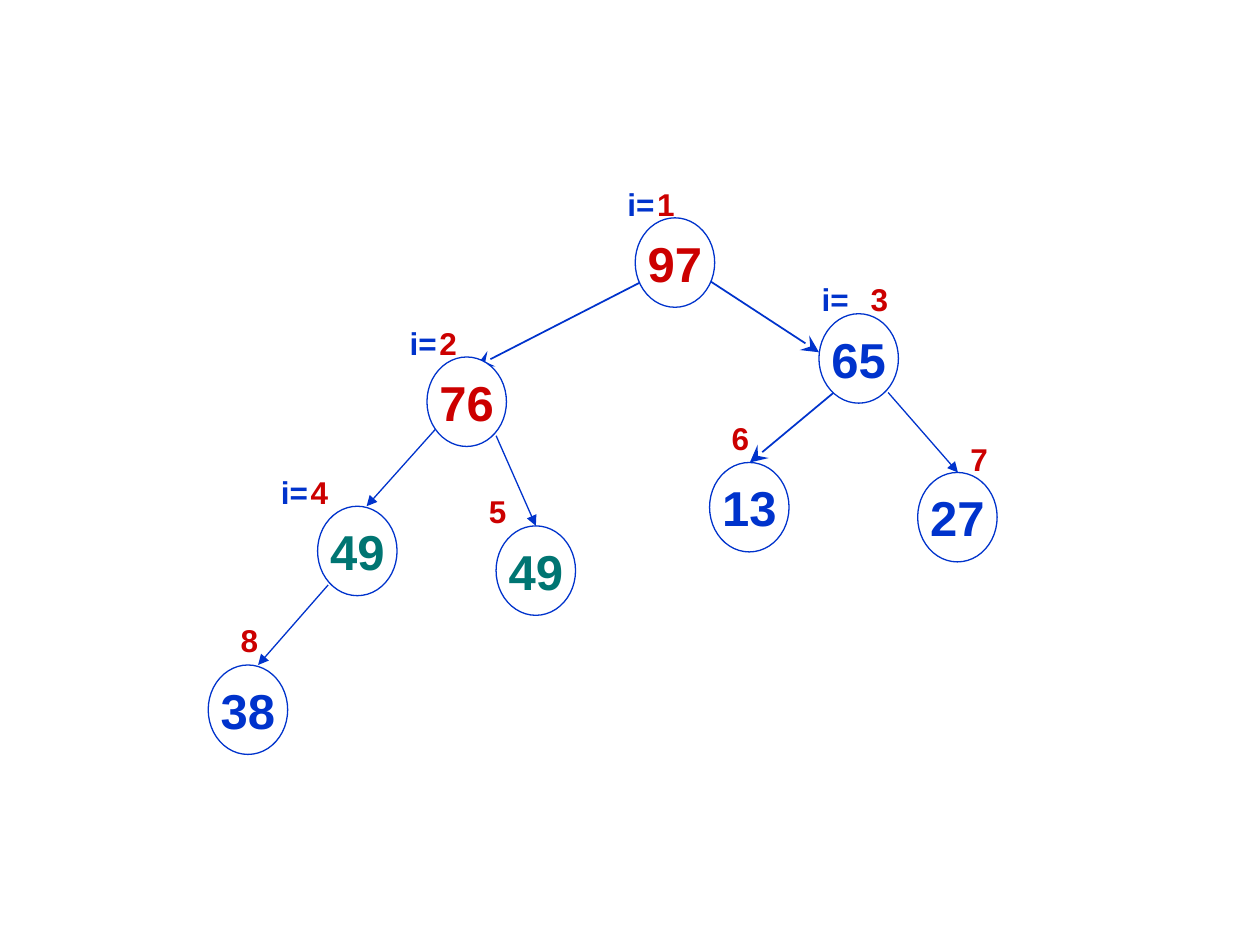
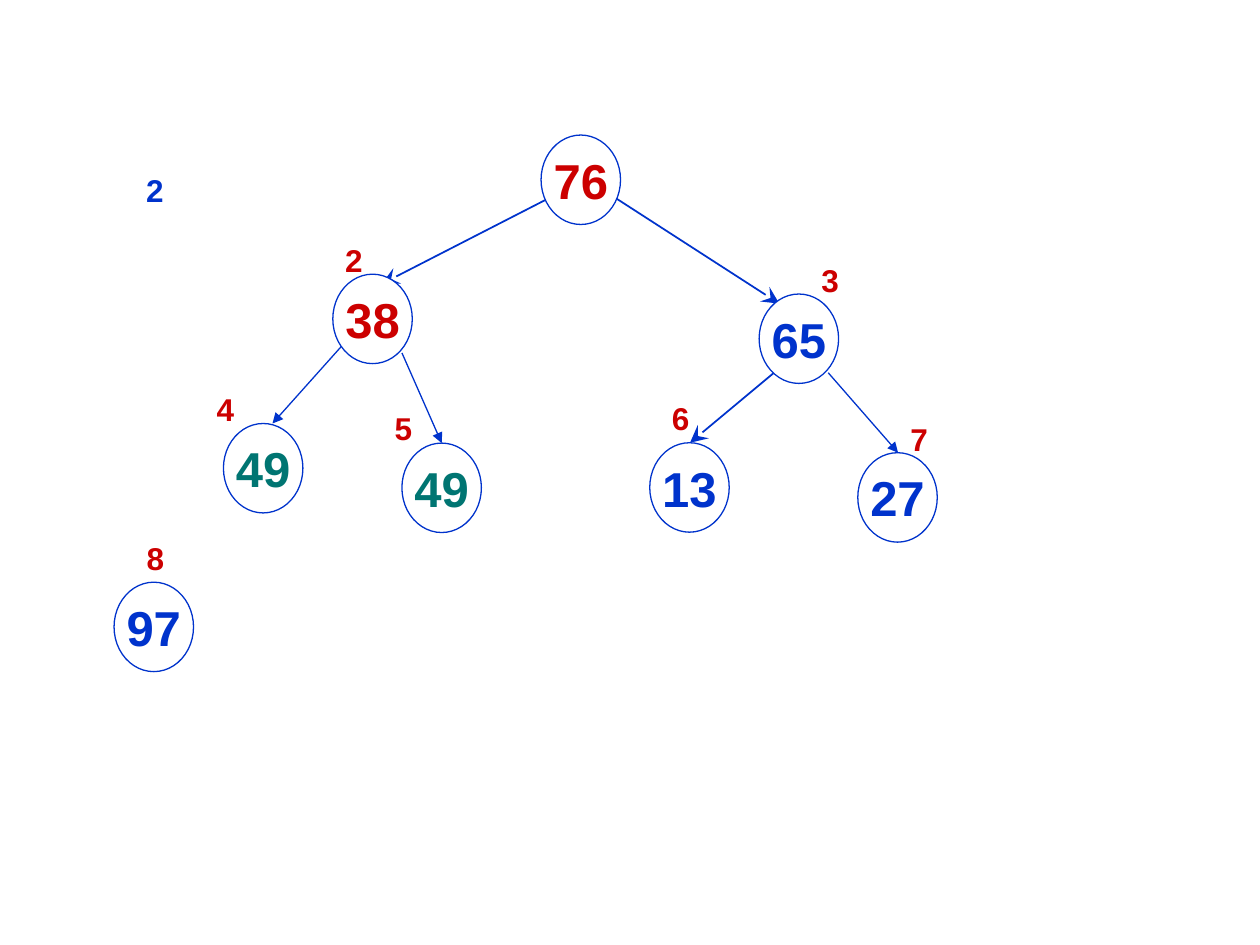
from dataclasses import dataclass, replace

from lxml import etree
from pptx import Presentation
from pptx.dml.color import RGBColor
from pptx.enum.shapes import MSO_CONNECTOR, MSO_SHAPE
from pptx.enum.text import MSO_ANCHOR, MSO_AUTO_SIZE, PP_ALIGN
from pptx.oxml.ns import qn
from pptx.slide import Slide
from pptx.text.text import TextFrame
from pptx.util import Pt

BLUE = RGBColor(0x00, 0x33, 0xCC)
RED = RGBColor(0xCC, 0x00, 0x00)
TEAL = RGBColor(0x00, 0x75, 0x72)
WHITE = RGBColor(0xFF, 0xFF, 0xFF)

FONT = "Arial"
NODE_WIDTH, NODE_HEIGHT = 45.4, 51.1
LABEL_WIDTH, LABEL_HEIGHT = 24.5, 29
PREFIX_WIDTH = 31
ARROW_SIZES = {"triangle": "med", "stealth": "lg"}

Point = tuple[float, float]


@dataclass(frozen=True)
class Node:
    """A tree node with its index label and the edge from its parent.

    Label and edge end are offsets from the node, edge start from the parent.
    """
    at: Point
    color: RGBColor
    label: Point
    parent: int = 0
    edge_start: Point = (0, 0)
    edge_end: Point = (0, 0)
    arrow: str = "triangle"
    edge_width: float = 0.75


@dataclass(frozen=True)
class Prefix:
    """An "i=" set to the left of an index label."""
    index: int
    gap: float = 17


HEAP = {
    1: Node((363, 124.5), RED, (5.5, -22.5)),
    2: Node((244, 204), RED, (0, -22.5), 1, (8.5, 34), (28, 5.5), "stealth", 1),
    3: Node((468, 179.3), BLUE, (22.5, -23), 1, (39.5, 34), (0, 22), "stealth", 1),
    4: Node((181.5, 289.3), TEAL, (-11, -22.8), 2, (6, 40), (28, 0)),
    5: Node((283.5, 300.5), TEAL, (-11.2, -22.8), 2, (39.5, 45), (22.7, 0)),
    6: Node((405.5, 264.3), BLUE, (5.5, -28.5), 3, (8.5, 45), (23, 0), "stealth", 1),
    7: Node((524.4, 270), BLUE, (23, -22.3), 3, (39.5, 45), (23, 0)),
    8: Node((119, 380), BLUE, (11.5, -28.5), 4, (6, 45), (28.5, 0)),
}
RIGHT_BRANCH = {3, 6, 7}
LEFT_SHIFT, RIGHT_SHIFT = (-53.8, -47.3), (-34.2, -11.3)


def add(first: Point, second: Point) -> Point:
    return first[0] + second[0], first[1] + second[1]


def write(frame: TextFrame, text: str, size: float, color: RGBColor) -> None:
    frame.word_wrap = False
    paragraph = frame.paragraphs[0]
    paragraph.text = text
    font = paragraph.font
    font.name, font.size, font.bold = FONT, Pt(size), True
    font.color.rgb = color


def draw_label(slide: Slide, text: str, at: Point, color: RGBColor = RED,
               width: float = LABEL_WIDTH) -> None:
    box = slide.shapes.add_textbox(Pt(at[0]), Pt(at[1]), Pt(width), Pt(LABEL_HEIGHT))
    write(box.text_frame, text, 18, color)
    box.text_frame.auto_size = MSO_AUTO_SIZE.SHAPE_TO_FIT_TEXT


def draw_edge(slide: Slide, parent: Node, child: Node) -> None:
    start, end = add(parent.at, child.edge_start), add(child.at, child.edge_end)
    edge = slide.shapes.add_connector(
        MSO_CONNECTOR.STRAIGHT, Pt(start[0]), Pt(start[1]), Pt(end[0]), Pt(end[1]))
    edge.line.color.rgb = BLUE
    edge.line.width = Pt(child.edge_width)
    # Arrowhead at the child, and no shadow
    size = ARROW_SIZES[child.arrow]
    etree.SubElement(edge.line._get_or_add_ln(), qn("a:tailEnd"),
                     type=child.arrow, w=size, len=size)
    etree.SubElement(edge._element.spPr, qn("a:effectLst"))


def draw_node(slide: Slide, node: Node, value: int) -> None:
    circle = slide.shapes.add_shape(
        MSO_SHAPE.OVAL, Pt(node.at[0]), Pt(node.at[1]), Pt(NODE_WIDTH), Pt(NODE_HEIGHT))
    circle.shadow.inherit = False
    circle.fill.solid()
    circle.fill.fore_color.rgb = WHITE
    circle.line.color.rgb = BLUE
    circle.line.width = Pt(0.75)
    circle.text_frame.vertical_anchor = MSO_ANCHOR.MIDDLE
    write(circle.text_frame, str(value), 28, node.color)
    circle.text_frame.paragraphs[0].alignment = PP_ALIGN.CENTER


def draw_heap(slide: Slide, heap: dict[int, Node], values: list[int],
              edges: range, labels: range) -> None:
    for index in edges:
        draw_edge(slide, heap[heap[index].parent], heap[index])
    for index in labels:
        draw_label(slide, str(index), add(heap[index].at, heap[index].label))
    for node, value in zip(heap.values(), values):
        draw_node(slide, node, value)


def shifted_heap() -> dict[int, Node]:
    """The heap moved up and left, with the right branch moved less."""
    heap = {
        index: replace(node, at=add(
            node.at, RIGHT_SHIFT if index in RIGHT_BRANCH else LEFT_SHIFT))
        for index, node in HEAP.items()
    }
    heap[3] = replace(heap[3], label=(28.5, -22.5), edge_end=(11.5, 5.5))
    return heap


def main() -> None:
    presentation = Presentation()
    presentation.slide_width, presentation.slide_height = Pt(720), Pt(540)
    blank = presentation.slide_layouts[6]

    # Full heap, largest value at the root
    slide = presentation.slides.add_slide(blank)
    draw_heap(slide, HEAP, [97, 76, 65, 49, 49, 13, 27, 38], range(2, 9), range(1, 9))
    for prefix in (Prefix(1), Prefix(2), Prefix(3, gap=28), Prefix(4)):
        node = HEAP[prefix.index]
        at = add(add(node.at, node.label), (-prefix.gap, 0))
        draw_label(slide, "i=", at, BLUE, PREFIX_WIDTH)

    # Largest value moved to the last place and cut off
    slide = presentation.slides.add_slide(blank)
    draw_heap(slide, shifted_heap(), [76, 38, 65, 49, 49, 13, 27, 97],
              range(2, 8), range(2, 9))
    draw_label(slide, "2", (76.5, 94.3), BLUE)

    presentation.save("out.pptx")


if __name__ == "__main__":
    main()
